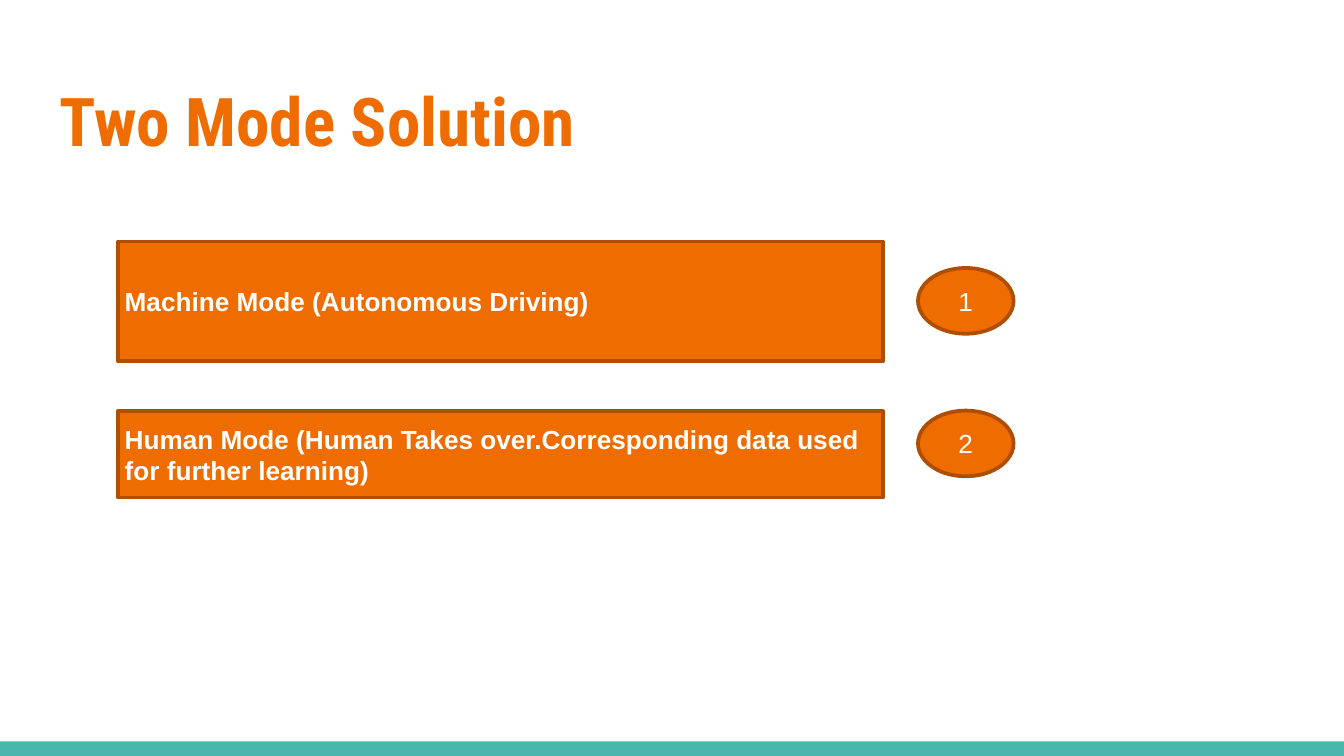
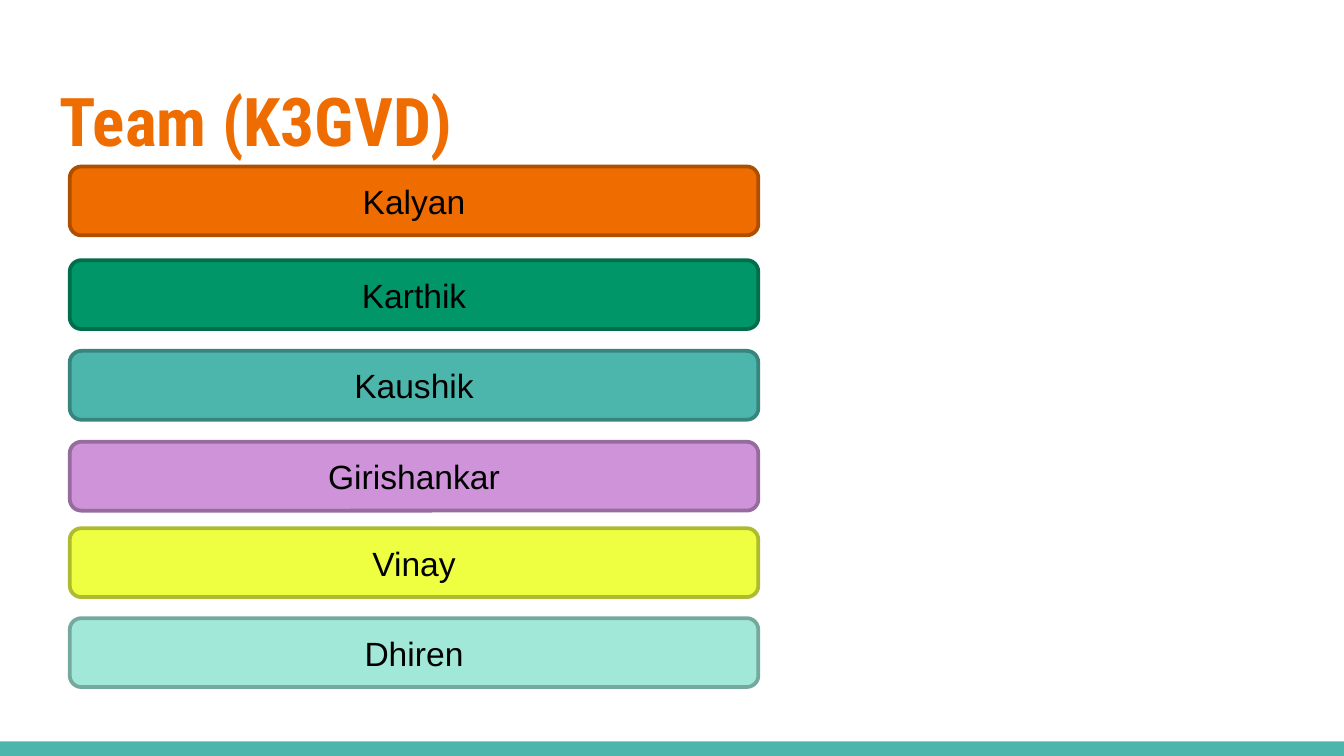
from pptx import Presentation
from pptx.dml.color import RGBColor
from pptx.enum.shapes import MSO_SHAPE
from pptx.enum.text import MSO_ANCHOR, MSO_AUTO_SIZE, PP_ALIGN
from pptx.util import Pt

RECTANGLE = MSO_SHAPE.RECTANGLE
ROUNDED = MSO_SHAPE.ROUNDED_RECTANGLE
OVAL = MSO_SHAPE.OVAL
LEFT, CENTER = PP_ALIGN.LEFT, PP_ALIGN.CENTER
TOP, MIDDLE = MSO_ANCHOR.TOP, MSO_ANCHOR.MIDDLE
NO_AUTOFIT = MSO_AUTO_SIZE.NONE

WHITE = RGBColor(0xFF, 0xFF, 0xFF)
BLACK = RGBColor(0x00, 0x00, 0x00)
ORANGE = RGBColor(0xEF, 0x6C, 0x00)
DARK_ORANGE = RGBColor(0xAE, 0x4F, 0x00)
GREEN = RGBColor(0x00, 0x96, 0x68)
DARK_GREEN = RGBColor(0x00, 0x6D, 0x4C)
TEAL = RGBColor(0x4D, 0xB6, 0xAC)
DARK_TEAL = RGBColor(0x38, 0x85, 0x7E)
PURPLE = RGBColor(0xCE, 0x93, 0xD8)
DARK_PURPLE = RGBColor(0x96, 0x6B, 0x9E)
YELLOW = RGBColor(0xEE, 0xFF, 0x41)
DARK_YELLOW = RGBColor(0xAE, 0xBA, 0x2F)
MINT = RGBColor(0xA1, 0xE8, 0xD9)
DARK_MINT = RGBColor(0x75, 0xA9, 0x9E)

PAGE_WIDTH, PAGE_HEIGHT = 720, 405
BAND_HEIGHT = 7.8
TITLE_BOX = (24.6, 35.4, 670.8, 55.4)
TITLE_FONT = {"name": "Roboto Condensed", "size": Pt(36), "bold": True}
MODE_FONT = {"name": "Arial", "size": Pt(14), "bold": True}
NUMBER_FONT = {"name": "Arial", "size": Pt(14), "bold": False}
MEMBER_FONT = {"name": "Arial", "size": Pt(18), "bold": False}

# Text, top and height of the bar, top of its number
MODES = [
    ("Machine Mode (Autonomous Driving)", 0, 64.2, 14.2),
    ("Human Mode (Human Takes over.Corresponding data used for further learning)",
     91, 46.2, 90.6),
]
# Name, top of the bar, fill, outline
MEMBERS = [
    ("Kalyan", 0, ORANGE, DARK_ORANGE),
    ("Karthik", 50.2, GREEN, DARK_GREEN),
    ("Kaushik", 98.8, TEAL, DARK_TEAL),
    ("Girishankar", 147.5, PURPLE, DARK_PURPLE),
    ("Vinay", 193.8, YELLOW, DARK_YELLOW),
    ("Dhiren", 242, MINT, DARK_MINT),
]


def write(frame, text, font, color, align, anchor, inset):
    frame.word_wrap = True
    frame.auto_size = NO_AUTOFIT
    frame.vertical_anchor = anchor
    for side in ("left", "top", "right", "bottom"):
        setattr(frame, f"margin_{side}", Pt(inset))
    para = frame.paragraphs[0]
    para.alignment = align
    span = para.add_run()
    span.text = text
    for name, value in font.items():
        setattr(span.font, name, value)
    span.font.color.rgb = color


def add_block(page, kind, box, fill, outline=None):
    block = page.shapes.add_shape(kind, *map(Pt, box))
    block.shadow.inherit = False
    block.fill.solid()
    block.fill.fore_color.rgb = fill
    if outline is None:
        block.line.fill.background()
    else:
        block.line.color.rgb = outline
        block.line.width = Pt(2)
    return block


def add_label(page, kind, box, colors, text, font, color, align=CENTER):
    block = add_block(page, kind, box, *colors)
    write(block.text_frame, text, font, color, align, MIDDLE, 3.6)
    return block


def add_page(deck, title):
    page = deck.slides.add_slide(deck.slide_layouts.get_by_name("Title Only"))
    holder = page.shapes.title
    for name, value in zip(("left", "top", "width", "height"), TITLE_BOX):
        setattr(holder, name, Pt(value))
    write(holder.text_frame, title, TITLE_FONT, ORANGE, LEFT, TOP, 7.2)
    return page


def add_band(page):
    """Moves the footer band to the layout, so that every page shows it."""
    box = (0, PAGE_HEIGHT - BAND_HEIGHT, PAGE_WIDTH, BAND_HEIGHT)
    band = add_block(page, RECTANGLE, box, TEAL)
    page.slide_layout.element.cSld.spTree.append(band.element)


def add_modes(page, box):
    left, top, width = box
    colors = (ORANGE, DARK_ORANGE)
    for number, (text, bar_top, height, oval_top) in enumerate(MODES, 1):
        add_label(page, RECTANGLE, (left, top + bar_top, width, height),
                  colors, text, MODE_FONT, WHITE, LEFT)
        add_label(page, OVAL, (left + width + 18.8, top + oval_top, 51.2, 35.2),
                  colors, str(number), NUMBER_FONT, WHITE)


def add_team(page, box):
    left, top, width = box
    for name, bar_top, fill, outline in MEMBERS:
        bar = add_label(page, ROUNDED, (left, top + bar_top, width, 36.9),
                        (fill, outline), name, MEMBER_FONT, BLACK)
        bar.adjustments[0] = 0.167


def main():
    deck = Presentation()
    deck.slide_width, deck.slide_height = Pt(PAGE_WIDTH), Pt(PAGE_HEIGHT)

    modes_page = add_page(deck, "Two Mode Solution")
    add_band(modes_page)
    add_modes(modes_page, (63.2, 129.4, 409.8))

    team_page = add_page(deck, "Team (K3GVD)")
    add_team(team_page, (37.4, 89.2, 368.9))

    deck.save("out.pptx")


if __name__ == "__main__":
    main()
